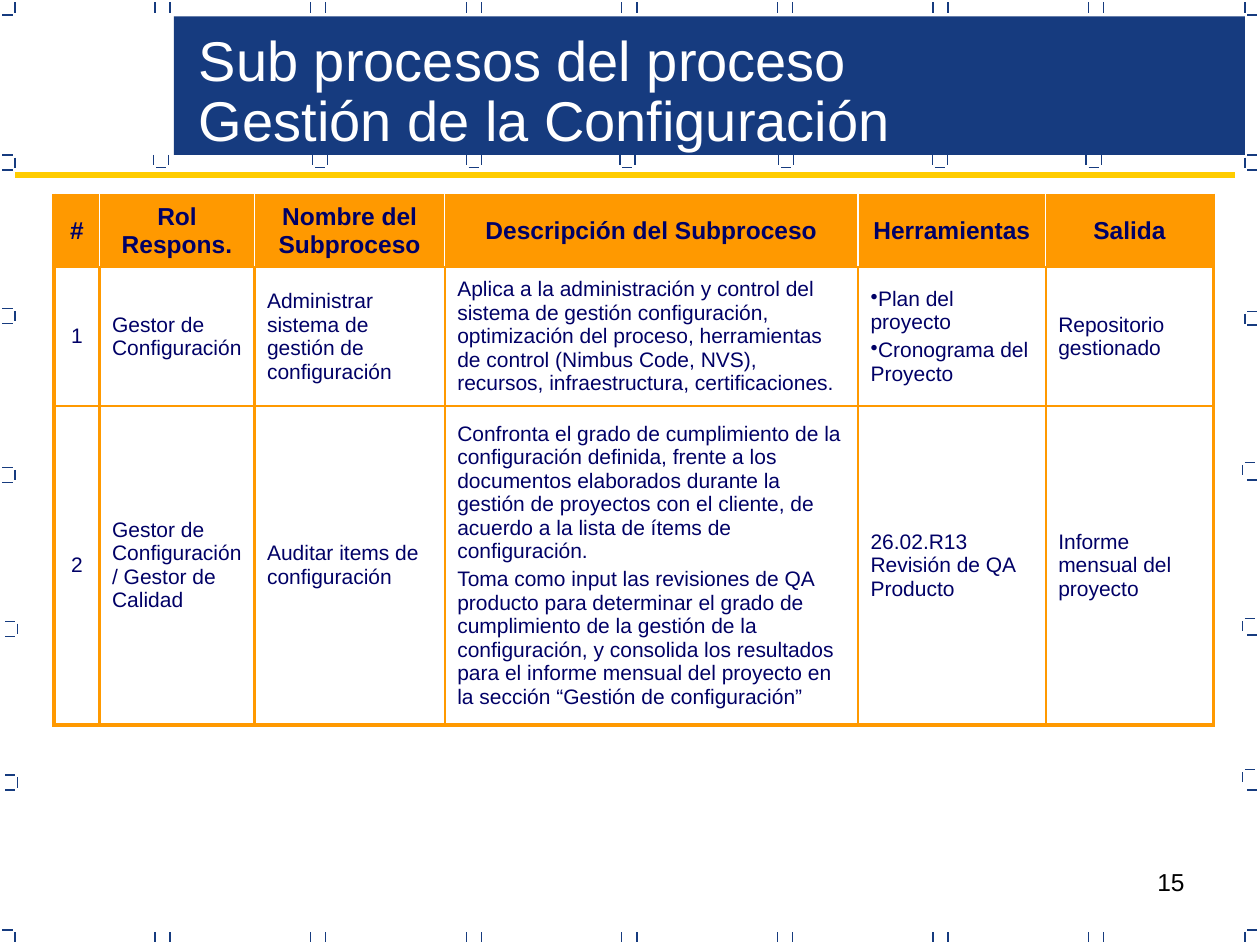
from dataclasses import dataclass

from lxml import etree
from pptx import Presentation
from pptx import util as u
from pptx.dml.color import RGBColor
from pptx.enum import shapes, text
from pptx.oxml.ns import qn


@dataclass(frozen=True)
class Theme:
    """Colours, font and sizes of the slide."""
    navy: str = "163B7F"
    ink: str = "000066"
    orange: str = "FF9900"
    yellow: str = "FFCC00"
    white: str = "FFFFFF"
    black: str = "000000"
    font: str = "Arial"
    title: float = 32
    heading: float = 14
    body: float = 12
    hairline: float = 0.75
    rule: float = 3
    divider: float = 1
    inner: float = 1.5
    outer: float = 2.25


@dataclass(frozen=True)
class Box:
    """A region measured in grid columns and rows."""
    left: float
    top: float
    width: float
    height: float


THEME = Theme()
COLUMNS, ROWS = 500, 375
CELL = u.Inches(10) / COLUMNS
TICK, GAP, PAIR = 4, 1, 6
COLUMN_WIDTHS = [18, 61.5, 75.5, 164, 74.5, 66.5]
ROW_HEIGHTS = [28.5, 55, 118.5]
HEADINGS = ["#", "Rol Respons.", "Nombre del Subproceso",
            "Descripción del Subproceso", "Herramientas", "Salida"]
SUBPROCESSES = [
    ["1", "Gestor de Configuración",
     "Administrar sistema de gestión de configuración",
     "Aplica a la administración y control del sistema de gestión configuración, "
     "optimización del proceso, herramientas de control (Nimbus Code, NVS), recursos, "
     "infraestructura, certificaciones.",
     ["Plan del proyecto", "Cronograma del Proyecto"], "Repositorio gestionado"],
    ["2", "Gestor de Configuración/ Gestor de Calidad",
     "Auditar items de configuración",
     ["Confronta el grado de cumplimiento de la configuración definida, frente a los "
      "documentos elaborados durante la gestión de proyectos con el cliente, de acuerdo "
      "a la lista de ítems de configuración.",
      "Toma como input las revisiones de QA producto para determinar el grado de "
      "cumplimiento de la gestión de la configuración, y consolida los resultados para "
      "el informe mensual del proyecto en la sección “Gestión de configuración”"],
     "26.02.R13 Revisión de QA Producto", "Informe mensual del proyecto"],
]
BULLETED = (1, 4)


def grid(cells):
    """Turn a number of grid cells into a length."""
    return u.Emu(round(cells * CELL))


def place(box):
    """Return left, top, width and height as lengths."""
    return [grid(cells) for cells in (box.left, box.top, box.width, box.height)]


def write(frame, content, *, size, color, bold=False, align=text.PP_ALIGN.LEFT,
          anchor=text.MSO_ANCHOR.TOP, before=0, spacing=None, bullet=None):
    """Fill a text frame with one paragraph per item of content."""
    frame.word_wrap = True
    frame.vertical_anchor = anchor
    lines = [content] if isinstance(content, str) else content
    for index, line in enumerate(lines):
        paragraph = frame.add_paragraph() if index else frame.paragraphs[0]
        paragraph.alignment = align
        paragraph.space_before = u.Pt(before)
        if spacing:
            paragraph.line_spacing = spacing
        if bullet:
            properties = paragraph._p.get_or_add_pPr()
            properties.set("marL", "0")
            properties.set("indent", "0")
            etree.SubElement(properties, qn("a:buChar")).set("char", bullet)
        run = paragraph.add_run()
        run.text = line
        run.font.name = THEME.font
        run.font.size = u.Pt(size)
        run.font.bold = bold
        run.font.color.rgb = RGBColor.from_string(color)


def add_line(slide, start, end, color, width):
    """Draw a straight line between two grid points."""
    points = [grid(cells) for cells in (*start, *end)]
    line = slide.shapes.add_connector(shapes.MSO_CONNECTOR.STRAIGHT, *points)
    line.line.color.rgb = RGBColor.from_string(color)
    line.line.width = u.Pt(width)
    etree.SubElement(line._element.spPr, qn("a:effectLst"))


def add_upright(slide, x, y):
    """Draw one short vertical tick downwards from a grid point."""
    add_line(slide, (x, y), (x, y + TICK), THEME.navy, THEME.hairline)


def add_bar(slide, x, y):
    """Draw one short horizontal tick rightwards from a grid point."""
    add_line(slide, (x, y), (x + TICK, y), THEME.navy, THEME.hairline)


def draw_edge_ticks(slide, box):
    """Draw pairs of upright ticks along the top and bottom of the box."""
    for index in range(7):
        x = box.left + 60.5 + 61.75 * index
        for y in (box.top, box.top + box.height - TICK):
            add_upright(slide, x, y)
            add_upright(slide, x + PAIR, y)


def draw_side_brackets(slide, box):
    """Draw open brackets down the left and right sides of the box."""
    bottom = box.height - TICK
    left_side = [(5, 0, (5,)), (5, 61.5, (60.5, 66.5)), (5, 122.5, (121.5, 127.5)),
                 (5, 185.5, (184.5, 190.5)), (6, 246.5, (245.5, 251.5)),
                 (6, 307.5, (306.5, 312.5)), (5, bottom, (bottom - GAP,))]
    for x, y, bars in left_side:
        add_upright(slide, box.left + x, box.top + y)
        for bar in bars:
            add_bar(slide, box.left + x - GAP - TICK, box.top + bar)
    right_side = [(5, 0, None, 5), (5, 61.5, 60.5, 66.5), (5, 123.5, 122.5, 128),
                  (6, 183.5, 182.5, 189.5), (6, 245.5, 244.5, 251),
                  (6, 305.5, 304.5, 312.5), (5, bottom, bottom - GAP, None)]
    right = box.left + box.width
    for inset, y, upper, lower in right_side:
        add_upright(slide, right - inset, box.top + y)
        if upper is not None:
            add_bar(slide, right - inset + GAP, box.top + upper)
        if lower is not None:
            add_bar(slide, right - TICK, box.top + lower)


def draw_banner(slide, box):
    """Draw the title band, the cups below it, its title and the yellow rule."""
    band = slide.shapes.add_shape(shapes.MSO_SHAPE.RECTANGLE, *place(box))
    band.shadow.inherit = False
    band.fill.solid()
    band.fill.fore_color.rgb = RGBColor.from_string(THEME.navy)
    band.line.fill.background()
    bottom = box.top + box.height
    for offset in (-8, 55, 116, 177, 240, 301, 362):
        x = box.left + offset
        add_upright(slide, x, bottom)
        add_upright(slide, x + PAIR, bottom)
        add_bar(slide, x + GAP, bottom + TICK + GAP)
    title = Box(box.left + 5, box.top + 4, box.width - 9, box.height - 2)
    write(slide.shapes.add_textbox(*place(title)).text_frame,
          ["Sub procesos del proceso", "Gestión de la Configuración"],
          size=THEME.title, color=THEME.white, spacing=0.9)
    rule = bottom + 8
    add_line(slide, (6, rule), (490, rule), THEME.yellow, THEME.rule)


def set_borders(cell, borders):
    """Give a cell its left, right, top and bottom borders."""
    properties = cell._tc.get_or_add_tcPr()
    for index, (side, (color, width)) in enumerate(zip("LRTB", borders)):
        line = etree.Element(qn(f"a:ln{side}"), w=str(u.Pt(width)))
        fill = etree.SubElement(line, qn("a:solidFill"))
        etree.SubElement(fill, qn("a:srgbClr")).set("val", color)
        properties.insert(index, line)


def draw_table(slide, box):
    """Draw the table of subprocesses."""
    content = [HEADINGS, *SUBPROCESSES]
    table = slide.shapes.add_table(len(content), len(HEADINGS), *place(box)).table
    for column, width in zip(table.columns, COLUMN_WIDTHS):
        column.width = grid(width)
    for row, height in zip(table.rows, ROW_HEIGHTS):
        row.height = grid(height)
    last_row, last_column = len(content) - 1, len(HEADINGS) - 1
    outer, inner = (THEME.orange, THEME.outer), (THEME.orange, THEME.inner)
    for y, values in enumerate(content):
        heading = y == 0
        between = (THEME.white, THEME.divider) if heading else inner
        for x, value in enumerate(values):
            cell = table.cell(y, x)
            if heading:
                cell.fill.solid()
                cell.fill.fore_color.rgb = RGBColor.from_string(THEME.orange)
            else:
                cell.fill.background()
            set_borders(cell, [outer if x == 0 else between,
                               outer if x == last_column else between,
                               outer if heading else inner,
                               outer if y == last_row else inner])
            size = THEME.heading if heading else THEME.body
            centred = heading or x == 0
            write(cell.text_frame, value, size=size, color=THEME.ink, bold=heading,
                  align=text.PP_ALIGN.CENTER if centred else text.PP_ALIGN.LEFT,
                  before=size * 0.2, bullet="•" if (y, x) == BULLETED else None)
            cell.vertical_anchor = text.MSO_ANCHOR.MIDDLE


def draw_page_number(slide, box):
    """Write the page number at the right of the box."""
    write(slide.shapes.add_textbox(*place(box)).text_frame, "15", size=THEME.heading,
          color=THEME.black, align=text.PP_ALIGN.RIGHT)


def main():
    """Build and save the slide."""
    presentation = Presentation()
    presentation.slide_width, presentation.slide_height = grid(COLUMNS), grid(ROWS)
    slide = presentation.slides.add_slide(presentation.slide_layouts[6])
    margins = Box(1, 1, COLUMNS - 2, ROWS - 2)
    draw_page_number(slide, Box(358.5, 341.5, 116.5, 26))
    draw_edge_ticks(slide, margins)
    draw_side_brackets(slide, margins)
    draw_banner(slide, Box(69, 6.5, 425, 55))
    draw_table(slide, Box(21.5, 77.5, sum(COLUMN_WIDTHS), sum(ROW_HEIGHTS)))
    presentation.save("out.pptx")


if __name__ == "__main__":
    main()
